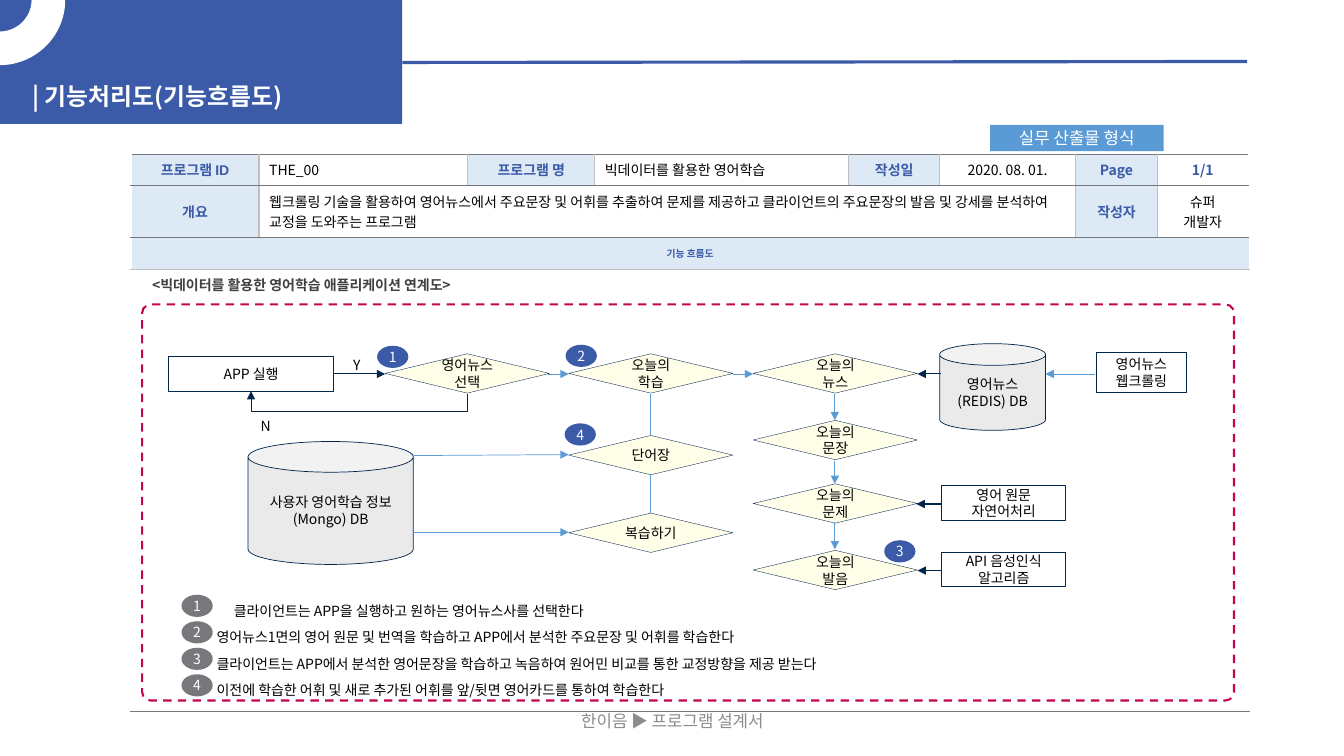
"""Build the function flow slide of an English learning program."""
from dataclasses import dataclass

import pptx
import pptx.dml.color
import pptx.enum.dml
import pptx.enum.shapes
import pptx.enum.text
import pptx.oxml
import pptx.oxml.ns
import pptx.util
from lxml import etree

Inches = pptx.util.Inches
Pt = pptx.util.Pt
RGBColor = pptx.dml.color.RGBColor
Kind = pptx.enum.shapes.MSO_SHAPE
Link = pptx.enum.shapes.MSO_CONNECTOR
Align = pptx.enum.text.PP_ALIGN
Anchor = pptx.enum.text.MSO_ANCHOR
AutoSize = pptx.enum.text.MSO_AUTO_SIZE
qn = pptx.oxml.ns.qn

FONT = "Noto Sans CJK KR"
BLUE = RGBColor(0x3B, 0x5A, 0xA8)
SKY = RGBColor(0x5B, 0x9B, 0xD5)
PALE = RGBColor(0xBD, 0xD7, 0xEE)
NAVY = RGBColor(0x00, 0x26, 0x4C)
CREAM = RGBColor(0xFF, 0xFF, 0xE9)
LIGHT = RGBColor(0xEA, 0xEA, 0xEA)
SILVER = RGBColor(0xBF, 0xBF, 0xBF)
GRAY = RGBColor(0x77, 0x78, 0x7B)
FOOT = RGBColor(0x8C, 0x8C, 0x8C)
DARK = RGBColor(0x40, 0x40, 0x40)
CRIMSON = RGBColor(0xC4, 0x04, 0x52)
BLACK = RGBColor(0, 0, 0)
WHITE = RGBColor(0xFF, 0xFF, 0xFF)


@dataclass
class Node:
    kind: Kind
    left: float
    top: float
    width: float
    height: float
    text: str = ""
    fill: RGBColor | None = None
    line: RGBColor | None = NAVY
    weight: float = 0.5
    inset: float = 0.04


@dataclass
class Arrow:
    x1: float
    y1: float
    x2: float
    y2: float
    color: RGBColor = SKY
    weight: float = 0.5
    head: bool = True
    kind: Link = Link.STRAIGHT


@dataclass
class Entry:
    row: int
    column: int
    text: str
    label: bool = False
    shaded: bool = False
    centred: bool = True
    latin: str = FONT


def write(frame, text: str, *, size: float = 10, color: RGBColor = BLACK, bold: bool = False,
          align=Align.CENTER, anchor=Anchor.MIDDLE, inset: float | None = None, wrap: bool = True,
          spacing: float | None = None, latin: str = FONT) -> None:
    frame.word_wrap = wrap
    frame.vertical_anchor = anchor
    if inset is not None:
        frame.margin_left = frame.margin_right = Inches(inset)
        frame.margin_top = frame.margin_bottom = Inches(inset)
    write_lines(frame, text, size, color, bold, align, spacing, latin)


def write_lines(frame, text: str, size: float, color: RGBColor, bold: bool, align,
                spacing: float | None, latin: str) -> None:
    frame.text = text
    for para in frame.paragraphs:
        para.alignment = align
        if spacing:
            para.line_spacing = spacing
        for span in para.runs:
            span.font.size, span.font.bold, span.font.name = Pt(size), bold, latin
            span.font.color.rgb = color
            east = etree.SubElement(span.font._element, qn("a:ea"))
            east.set("typeface", FONT)


def add_node(page, node: Node, **style):
    box = page.shapes.add_shape(node.kind, Inches(node.left), Inches(node.top),
                                Inches(node.width), Inches(node.height))
    box.shadow.inherit = False
    if node.fill is None:
        box.fill.background()
    else:
        box.fill.solid()
        box.fill.fore_color.rgb = node.fill
    if node.line is None:
        box.line.fill.background()
    else:
        box.line.color.rgb = node.line
        box.line.width = Pt(node.weight)
    if node.text:
        write(box.text_frame, node.text, **{"inset": node.inset, **style})
    return box


def add_arrow(page, arrow: Arrow):
    link = page.shapes.add_connector(arrow.kind, Inches(arrow.x1), Inches(arrow.y1),
                                     Inches(arrow.x2), Inches(arrow.y2))
    link.line.color.rgb = arrow.color
    link.line.width = Pt(arrow.weight)
    if arrow.head:
        etree.SubElement(link.line._get_or_add_ln(), qn("a:tailEnd")).set("type", "triangle")
    etree.SubElement(link.element.spPr, qn("a:effectLst"))
    return link


def add_label(page, left: float, top: float, width: float, height: float, text: str,
              grow: bool = True, **style) -> None:
    box = page.shapes.add_textbox(Inches(left), Inches(top), Inches(width), Inches(height))
    write(box.text_frame, text, **{"anchor": Anchor.TOP, **style})
    box.text_frame.auto_size = AutoSize.SHAPE_TO_FIT_TEXT if grow else AutoSize.NONE


def add_grid(page, left: float, top: float, widths: list[float], heights: list[float], inner: RGBColor):
    frame = page.shapes.add_table(len(heights), len(widths), Inches(left), Inches(top),
                                  Inches(sum(widths)), Inches(sum(heights)))
    table = frame.table
    table.first_row = table.horz_banding = False
    for column, width in zip(table.columns, widths):
        column.width = Inches(width)
    for row, height in zip(table.rows, heights):
        row.height = Inches(height)
    for r in range(len(heights)):
        for c in range(len(widths)):
            cell = table.cell(r, c)
            edges = {"L": SILVER if c else WHITE,
                     "R": SILVER if c < len(widths) - 1 else WHITE,
                     "T": inner if r else GRAY,
                     "B": inner if r < len(heights) - 1 else GRAY}
            for side, color in edges.items():
                edge = etree.SubElement(cell._tc.get_or_add_tcPr(), qn(f"a:ln{side}"), w="12700")
                solid = etree.SubElement(edge, qn("a:solidFill"))
                etree.SubElement(solid, qn("a:srgbClr"), val=str(color))
            cell.fill.background()
    return table


def shade(cell) -> None:
    cell.fill.solid()
    cell.fill.fore_color.rgb = PALE
    tint = cell._tc.tcPr.find(f"{qn('a:solidFill')}/{qn('a:srgbClr')}")
    etree.SubElement(tint, qn("a:alpha")).set("val", "50000")


def fill_cell(cell, entry: Entry, size: float, side: float, edge: float) -> None:
    if entry.shaded:
        shade(cell)
    cell.vertical_anchor = Anchor.MIDDLE
    cell.margin_left = cell.margin_right = Inches(side)
    cell.margin_top = cell.margin_bottom = Inches(edge)
    write_lines(cell.text_frame, entry.text, size, BLUE if entry.label else BLACK, entry.label,
                Align.CENTER if entry.centred else Align.LEFT, None, entry.latin)


def add_tables(page) -> None:
    flow = add_grid(page, 1.3, 2.36, [11.09], [0.31, 4.39], SILVER)
    fill_cell(flow.cell(0, 0), Entry(0, 0, "기능 흐름도", True, True), 7, 0.07, 0.03)
    info = add_grid(page, 1.3, 1.53, [1.27, 2.07, 1.26, 2.52, 0.9, 1.35, 0.81, 0.9], [0.31, 0.52], GRAY)
    info.cell(1, 1).merge(info.cell(1, 5))
    summary = ("웹크롤링 기술을 활용하여 영어뉴스에서 주요문장 및 어휘를 추출하여 문제를 제공하고 "
               "클라이언트의 주요문장의 발음 및 강세를 분석하여 교정을 도와주는 프로그램")
    for entry in (Entry(0, 0, "프로그램 ID", True, True, latin="Arial"),
                  Entry(0, 1, "THE_00", centred=False), Entry(0, 2, "프로그램 명", True, True),
                  Entry(0, 3, "빅데이터를 활용한 영어학습", centred=False),
                  Entry(0, 4, "작성일", True, True), Entry(0, 5, "2020. 08. 01."),
                  Entry(0, 6, "Page", True, True), Entry(0, 7, "1/1", True),
                  Entry(1, 0, "개요", True, True, latin="Arial"), Entry(1, 1, summary, centred=False),
                  Entry(1, 6, "작성자", True, True), Entry(1, 7, "슈퍼\n개발자")):
        fill_cell(info.cell(entry.row, entry.column), entry, 10, 0.1, 0.05)


def add_header(page) -> None:
    add_node(page, Node(Kind.RECTANGLE, 9.82, 1.24, 1.72, 0.26, "실무 산출물 형식", SKY, None), size=12, color=WHITE)
    add_node(page, Node(Kind.RECTANGLE, -0.02, 0, 4.01, 1.23, fill=BLUE, line=None))
    add_arrow(page, Arrow(3.99, 0.62, 12.37, 0.61, BLUE, 2.25, False))
    ring = add_node(page, Node(Kind.BLOCK_ARC, -0.65, -0.64, 1.29, 1.28, fill=WHITE, line=WHITE, weight=1))
    for index, value in enumerate((161.13, 0, 0.25)):
        ring.adjustments[index] = value
    ring.element.spPr.find(qn("a:xfrm")).set("flipV", "1")
    title = page.shapes.title
    title.left, title.top, title.width, title.height = map(Inches, (0.22, 0.76, 3.07, 0.32))
    write(title.text_frame, "| 기능처리도(기능흐름도)", size=17, color=WHITE, bold=True,
          align=Align.LEFT, anchor=Anchor.TOP)
    title.text_frame.auto_size = AutoSize.NONE
    title.element.getparent().append(title.element)


def add_flow(page) -> None:
    add_label(page, 1.41, 2.66, 5.66, 0.28, "<빅데이터를 활용한 영어학습 애플리케이션 연계도>",
              color=DARK, bold=True, align=Align.LEFT, spacing=1.2)
    border = add_node(page, Node(Kind.ROUNDED_RECTANGLE, 1.41, 3.02, 10.83, 3.93, line=CRIMSON, weight=1.5))
    border.adjustments[0] = 0.022
    border.line.dash_style = pptx.enum.dml.MSO_LINE.DASH
    for node in (Node(Kind.RECTANGLE, 1.67, 3.54, 1.64, 0.34, "APP 실행"),
                 Node(Kind.RECTANGLE, 10.87, 3.5, 0.9, 0.39, "영어뉴스\n웹크롤링"),
                 Node(Kind.RECTANGLE, 9.34, 4.82, 1.23, 0.34, "영어 원문\n자연어처리"),
                 Node(Kind.RECTANGLE, 9.34, 5.48, 1.23, 0.34, "API 음성인식\n알고리즘"),
                 Node(Kind.CAN, 9.32, 3.41, 1.05, 0.86, "영어뉴스\n(REDIS) DB", LIGHT),
                 Node(Kind.CAN, 2.46, 4.38, 1.64, 1.22, "사용자 영어학습 정보\n(Mongo) DB", LIGHT)):
        add_node(page, node)
    for left, top, text in ((3.82, 3.51, "영어뉴스 선택"), (5.64, 3.51, "오늘의 학습"),
                            (5.64, 4.32, "단어장"), (5.64, 5.09, "복습하기"),
                            (7.47, 3.51, "오늘의 뉴스"), (7.47, 4.17, "오늘의 문장"),
                            (7.47, 4.8, "오늘의 문제"), (7.47, 5.46, "오늘의 발음")):
        add_node(page, Node(Kind.FLOWCHART_DECISION, left, top, 1.63, 0.39, text, CREAM, weight=0.25), inset=None)
    for arrow in (Arrow(3.31, 3.71, 3.82, 3.71, NAVY, 0.75), Arrow(9.33, 3.71, 9.1, 3.71, NAVY, 0.75),
                  Arrow(9.33, 5, 9.09, 5, NAVY, 0.75), Arrow(9.34, 5.66, 9.1, 5.66, NAVY, 0.75),
                  Arrow(10.86, 3.71, 10.37, 3.71), Arrow(5.44, 3.71, 5.64, 3.71),
                  Arrow(7.27, 3.71, 7.47, 3.71), Arrow(4.1, 4.52, 5.64, 4.51),
                  Arrow(4.1, 5.28, 5.64, 5.28), Arrow(8.28, 3.91, 8.28, 4.17),
                  Arrow(8.28, 4.57, 8.28, 4.8), Arrow(8.28, 5.18, 8.28, 5.45),
                  Arrow(6.45, 3.91, 6.45, 4.32, head=False), Arrow(6.45, 4.71, 6.45, 5.09, head=False)):
        add_arrow(page, arrow)
    retry = add_arrow(page, Arrow(3.58, 2.82, 3.55, 4.97, NAVY, 0.75, kind=Link.ELBOW))
    retry.element.spPr.find(qn("a:xfrm")).set("rot", "5400000")
    guides = retry.element.spPr.find(f"{qn('a:prstGeom')}/{qn('a:avLst')}")
    etree.SubElement(guides, qn("a:gd"), name="adj1", fmla="val -575700")
    add_label(page, 3.4, 3.49, 0.28, 0.27, "Y", wrap=False)
    add_label(page, 2.48, 4.09, 0.31, 0.27, "N", wrap=False)


def add_badge(page, left: float, top: float, number: int, fill: RGBColor) -> None:
    add_node(page, Node(Kind.OVAL, left, top, 0.31, 0.22, str(number), fill, None, inset=0.06),
             color=WHITE, wrap=False)


def add_steps(page) -> None:
    for number, (left, top) in enumerate(((3.74, 3.43), (5.61, 3.42), (8.77, 5.36), (5.6, 4.2)), 1):
        add_badge(page, left, top, number, BLUE)
    steps = ((2.22, 3.78, "클라이언트는 APP을 실행하고 원하는 영어뉴스사를 선택한다"),
             (2.05, 6.03, "영어뉴스1면의 영어 원문 및 번역을 학습하고 APP에서 분석한 주요문장 및 어휘를 학습한다"),
             (2.05, 6.89, "클라이언트는 APP에서 분석한 영어문장을 학습하고 녹음하여 원어민 비교를 통한 교정방향을 제공 받는다"),
             (2.05, 5.29, "이전에 학습한 어휘 및 새로 추가된 어휘를 앞/뒷면 영어카드를 통하여 학습한다"))
    for index, (left, width, text) in enumerate(steps):
        top = 5.9 + 0.263 * index
        add_badge(page, 1.8, top, index + 1, GRAY)
        add_label(page, left, top - 0.01, width, 0.28, text, align=Align.LEFT, wrap=False, spacing=1.2)


def main() -> None:
    deck = pptx.Presentation()
    deck.slide_width, deck.slide_height = Inches(13.33), Inches(7.5)
    page = deck.slides.add_slide(deck.slide_layouts[5])
    add_tables(page)
    add_label(page, 4.42, 6.95, 4.5, 0.4, "한이음 ▶ 프로그램 설계서", grow=False,
              size=12, color=FOOT, anchor=Anchor.MIDDLE)
    add_header(page)
    add_flow(page)
    add_steps(page)
    deck.save("out.pptx")


if __name__ == "__main__":
    main()
